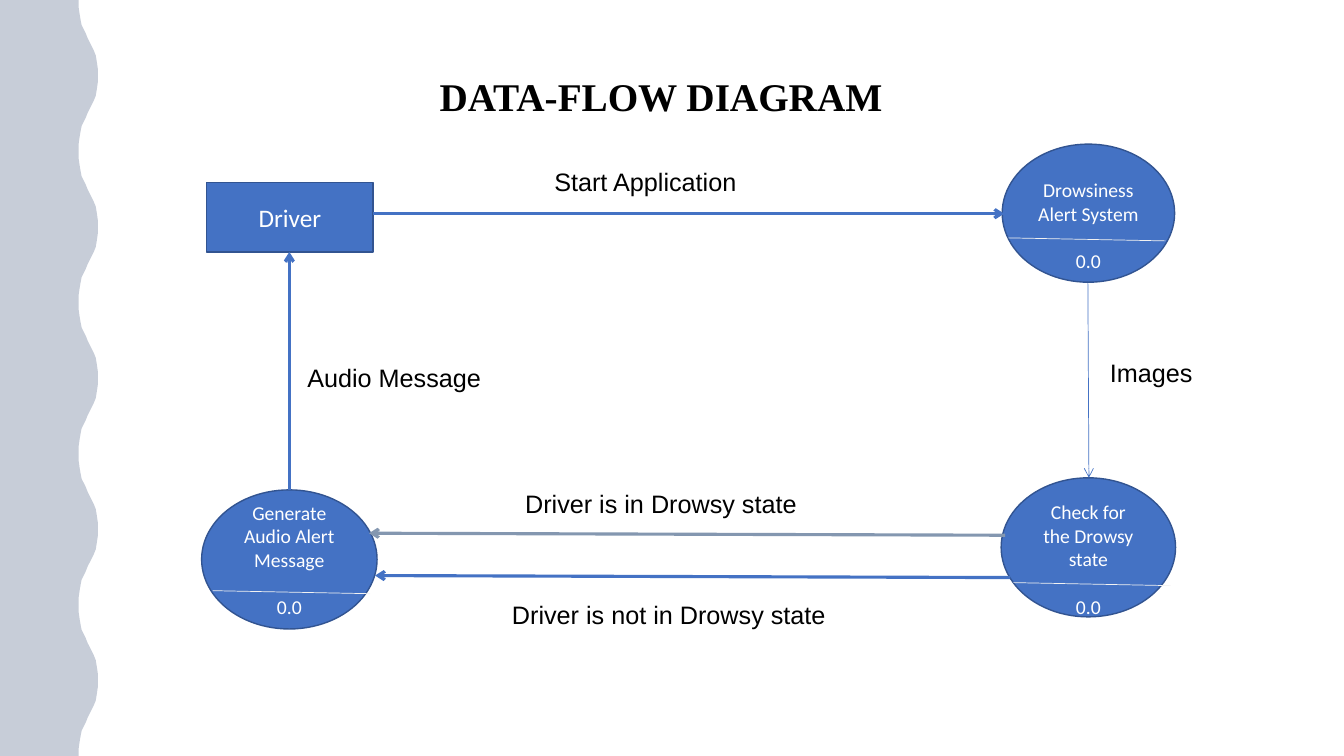
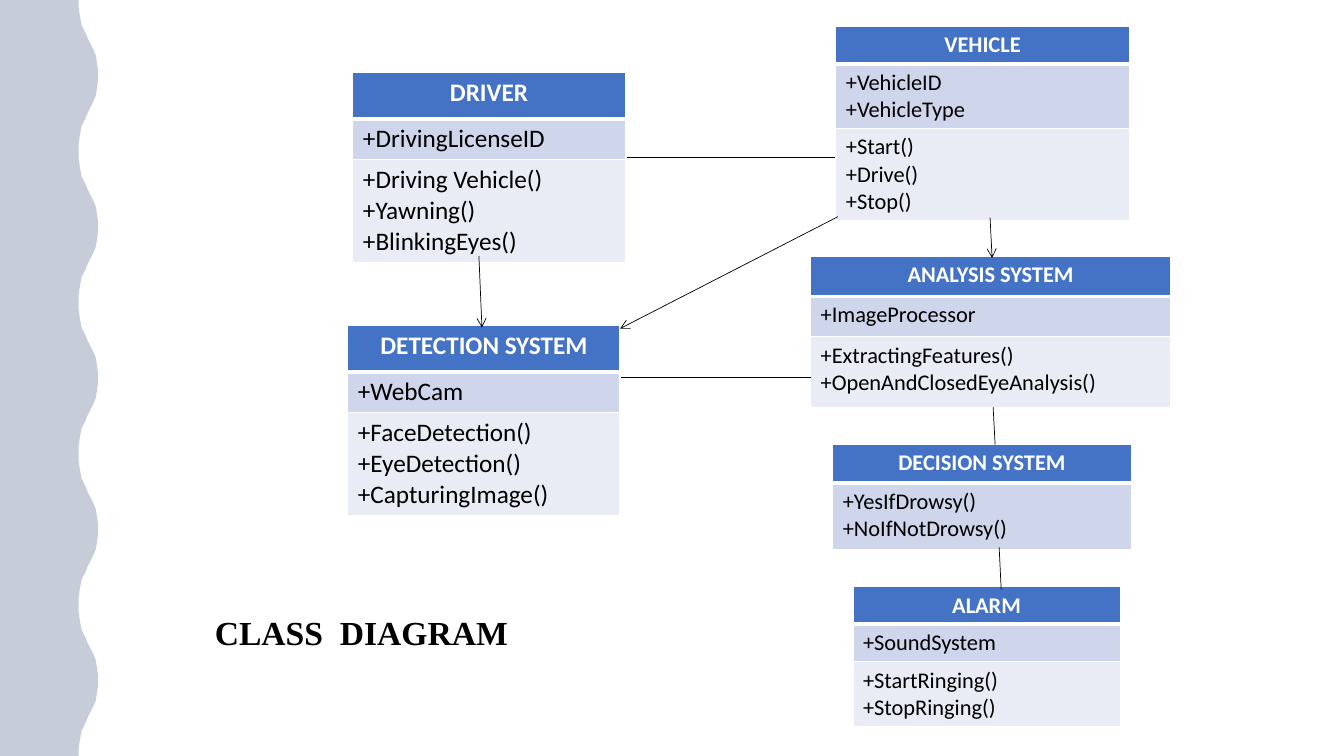
from lxml.etree import SubElement
from pptx import Presentation
from pptx.dml.color import RGBColor
from pptx.enum.shapes import MSO_CONNECTOR, MSO_SHAPE
from pptx.enum.text import MSO_ANCHOR, MSO_AUTO_SIZE, PP_ALIGN
from pptx.oxml.ns import qn
from pptx.util import Pt

PX = 9144
W, H = 1333, 750
BLUE = RGBColor(0x44, 0x72, 0xC4)
OUTLINE = RGBColor(0x32, 0x54, 0x91)
STEEL = RGBColor(0x84, 0x97, 0xB0)
NAVY = RGBColor(0x20, 0x38, 0x64)
PALE = RGBColor(0xF2, 0xF2, 0xF2)
ROW_DARK = RGBColor(0xCF, 0xD5, 0xEA)
ROW_LIGHT = RGBColor(0xE9, 0xEB, 0xF5)
WHITE = RGBColor(0xFF, 0xFF, 0xFF)
BLACK = RGBColor(0, 0, 0)
SERIF, SANS, BODY = "Times New Roman", "Arial", "Calibri"
NODE_LINE = 17
WAVE = 150
HALF_WAVE = [(78, 0), (78, 7), (79, 14), (80, 20), (81, 25), (83, 29), (85, 33),
             (87, 38), (89, 42), (91, 46), (93, 50), (95, 55), (96, 61), (97, 68),
             (97, 75)]


def px(*values):
    """Turn pixel lengths into EMU."""
    return [v * PX for v in values]


def add_text(p, text, size, font, color, bold=False, align=PP_ALIGN.LEFT):
    """Add one formatted run to a paragraph."""
    p.alignment = align
    r = p.add_run()
    r.text = text
    r.font.size, r.font.name, r.font.bold = Pt(size), font, bold
    r.font.color.rgb = color


def add_band(s):
    """Draw the translucent wavy band along the left edge."""
    wave = HALF_WAVE + [(x, WAVE - y) for x, y in HALF_WAVE[-2::-1]]
    edge = [(x, y + top) for top in range(0, H, WAVE) for x, y in wave]
    fb = s.shapes.build_freeform(0, 0, scale=PX)
    fb.add_line_segments(edge + [(0, H)], close=True)
    sp = fb.convert_to_shape()
    sp.shadow.inherit = False
    sp.fill.solid()
    sp.fill.fore_color.rgb = NAVY
    sp.line.fill.background()
    color = sp.fill._xPr.find(qn("a:solidFill"))[0]
    SubElement(color, qn("a:alpha")).set("val", "25000")


def add_slide(prs, title, box, size):
    """Add a title-only slide with the band and a placed title."""
    s = prs.slides.add_slide(prs.slide_layouts[5])
    add_band(s)
    sp = s.shapes.title
    sp.left, sp.top, sp.width, sp.height = px(*box)
    tf = sp.text_frame
    tf.auto_size = MSO_AUTO_SIZE.NONE
    tf.word_wrap = False
    tf.vertical_anchor = MSO_ANCHOR.TOP
    add_text(tf.paragraphs[0], title, size, SERIF, BLACK, bold=True)
    return s


def add_line(s, start, end, color=BLACK, width=0.5, arrow=False):
    """Draw a straight line, with an arrowhead at its end if asked."""
    c = s.shapes.add_connector(MSO_CONNECTOR.STRAIGHT, *px(*start, *end))
    c.line.color.rgb = color
    c.line.width = Pt(width)
    if arrow:
        SubElement(c.line._get_or_add_ln(), qn("a:tailEnd")).set("type", "arrow")
    SubElement(c._element.spPr, qn("a:effectLst"))


def add_label(s, box, text):
    """Write the name of a flow."""
    tf = s.shapes.add_textbox(*px(*box)).text_frame
    tf.word_wrap = False
    add_text(tf.paragraphs[0], text, 18, SANS, BLACK)


def add_node(s, kind, box, text, size):
    """Draw a filled node with centred text and return its text frame."""
    sp = s.shapes.add_shape(kind, *px(*box))
    sp.shadow.inherit = False
    sp.fill.solid()
    sp.fill.fore_color.rgb = BLUE
    sp.line.color.rgb = OUTLINE
    sp.line.width = Pt(1)
    tf = sp.text_frame
    tf.word_wrap = True
    tf.vertical_anchor = MSO_ANCHOR.MIDDLE
    add_text(tf.paragraphs[0], text, size, BODY, WHITE, align=PP_ALIGN.CENTER)
    return tf


def add_process(s, box, text, divider, lowered):
    """Draw a process ellipse with its number below a divider."""
    tf = add_node(s, MSO_SHAPE.OVAL, box, text, 14)
    if lowered:
        tf.margin_top += Pt(NODE_LINE)
    p = tf.add_paragraph()
    p.space_before = Pt(NODE_LINE)
    add_text(p, "0.0", 14, BODY, WHITE, align=PP_ALIGN.CENTER)
    x, y = box[0] + divider[0], box[1] + divider[1]
    add_line(s, (x, y), (x + 156, y + 3), PALE)


def add_borders(cell, **widths):
    """Give a cell white borders of the given widths in points."""
    tc_pr = cell._tc.get_or_add_tcPr()
    for side in "LRTB":
        ln = SubElement(tc_pr, qn(f"a:ln{side}"), w=str(Pt(widths.get(side, 1))))
        fill = SubElement(ln, qn("a:solidFill"))
        SubElement(fill, qn("a:srgbClr")).set("val", str(WHITE))


def add_class(s, x, y, width, size, heights, name, *members):
    """Draw a class as a table: name, then groups of members."""
    box = px(x, y, width, sum(heights))
    table = s.shapes.add_table(len(heights), 1, *box).table
    table.horz_banding = False
    rows = zip(heights, [[name], *members], (BLUE, ROW_DARK, ROW_LIGHT))
    for i, (height, lines, fill) in enumerate(rows):
        table.rows[i].height = height * PX
        cell = table.cell(i, 0)
        add_borders(cell, **({"B": 3}, {"T": 3}, {})[i])
        cell.fill.solid()
        cell.fill.fore_color.rgb = fill
        head = i == 0
        for j, text in enumerate(lines):
            tf = cell.text_frame
            p = tf.add_paragraph() if j else tf.paragraphs[0]
            add_text(p, text, size, BODY, WHITE if head else BLACK, head,
                     PP_ALIGN.CENTER if head else PP_ALIGN.LEFT)


def data_flow(prs):
    """Build the data-flow diagram slide."""
    s = add_slide(prs, "DATA-FLOW DIAGRAM", (426, 67, 464, 57), 28)
    add_node(s, MSO_SHAPE.RECTANGLE, (205, 181, 165, 69), "Driver", 18)
    for process in [
        ((994, 143, 171, 137), "Drowsiness Alert System", (6, 93), True),
        ((993, 474, 173, 138), "Check for the Drowsy state", (12, 104), True),
        ((200, 486, 174, 138), "Generate Audio Alert Message", (11, 100), False),
    ]:
        add_process(s, *process)
    for start, end, color, width in [
        ((370, 212), (996, 212), BLUE, 2.25),
        ((287, 486), (287, 250), BLUE, 2.25),
        ((1079, 281), (1080, 474), BLUE, 0.5),
        ((997, 531), (366, 529), STEEL, 2.25),
        ((1002, 573), (372, 571), BLUE, 2.25),
    ]:
        add_line(s, start, end, color, width, arrow=True)
    for x, y, width, text in [
        (540, 160, 203, "Start Application"),
        (295, 355, 194, "Audio Message"),
        (511, 480, 300, "Driver is in Drowsy state"),
        (1091, 350, 103, "Images"),
        (498, 590, 334, "Driver is not in Drowsy state"),
    ]:
        add_label(s, (x, y, width, 40), text)


def class_diagram(prs):
    """Build the class diagram slide."""
    s = add_slide(prs, "CLASS  DIAGRAM", (203, 602, 356, 51), 24)
    for item in [
        (350, 72, 270, 18, (46, 40, 100), "DRIVER", ["+DrivingLicenseID"],
         ["+Driving Vehicle()", "+Yawning()", "+BlinkingEyes()"]),
        (829, 26, 291, 16, (35, 61, 88), "VEHICLE",
         ["+VehicleID", "+VehicleType"], ["+Start()", "+Drive()", "+Stop()"]),
        (345, 323, 270, 18, (46, 40, 100), "DETECTION SYSTEM", ["+WebCam"],
         ["+FaceDetection()", "+EyeDetection()", "+CapturingImage()"]),
        (804, 254, 357, 16, (40, 40, 70), "ANALYSIS SYSTEM",
         ["+ImageProcessor"],
         ["+ExtractingFeatures()", "+OpenAndClosedEyeAnalysis()"]),
        (826, 441, 296, 16, (38, 66), "DECISION SYSTEM",
         ["+YesIfDrowsy()", "+NoIfNotDrowsy()"]),
        (846, 582, 265, 16, (34, 34, 59), "ALARM", ["+SoundSystem"],
         ["+StartRinging()", "+StopRinging()"]),
    ]:
        add_class(s, *item)
    for start, end, arrow in [
        ((475, 254), (478, 325), True),
        ((622, 156), (828, 156), False),
        ((831, 215), (615, 326), True),
        ((616, 374), (804, 374), False),
        ((982, 216), (984, 256), True),
        ((985, 404), (987, 441), False),
        ((991, 543), (993, 585), False),
    ]:
        add_line(s, start, end, arrow=arrow)


def main():
    """Build and save the presentation."""
    prs = Presentation()
    prs.slide_width, prs.slide_height = px(W, H)
    data_flow(prs)
    class_diagram(prs)
    prs.save("out.pptx")


if __name__ == "__main__":
    main()
